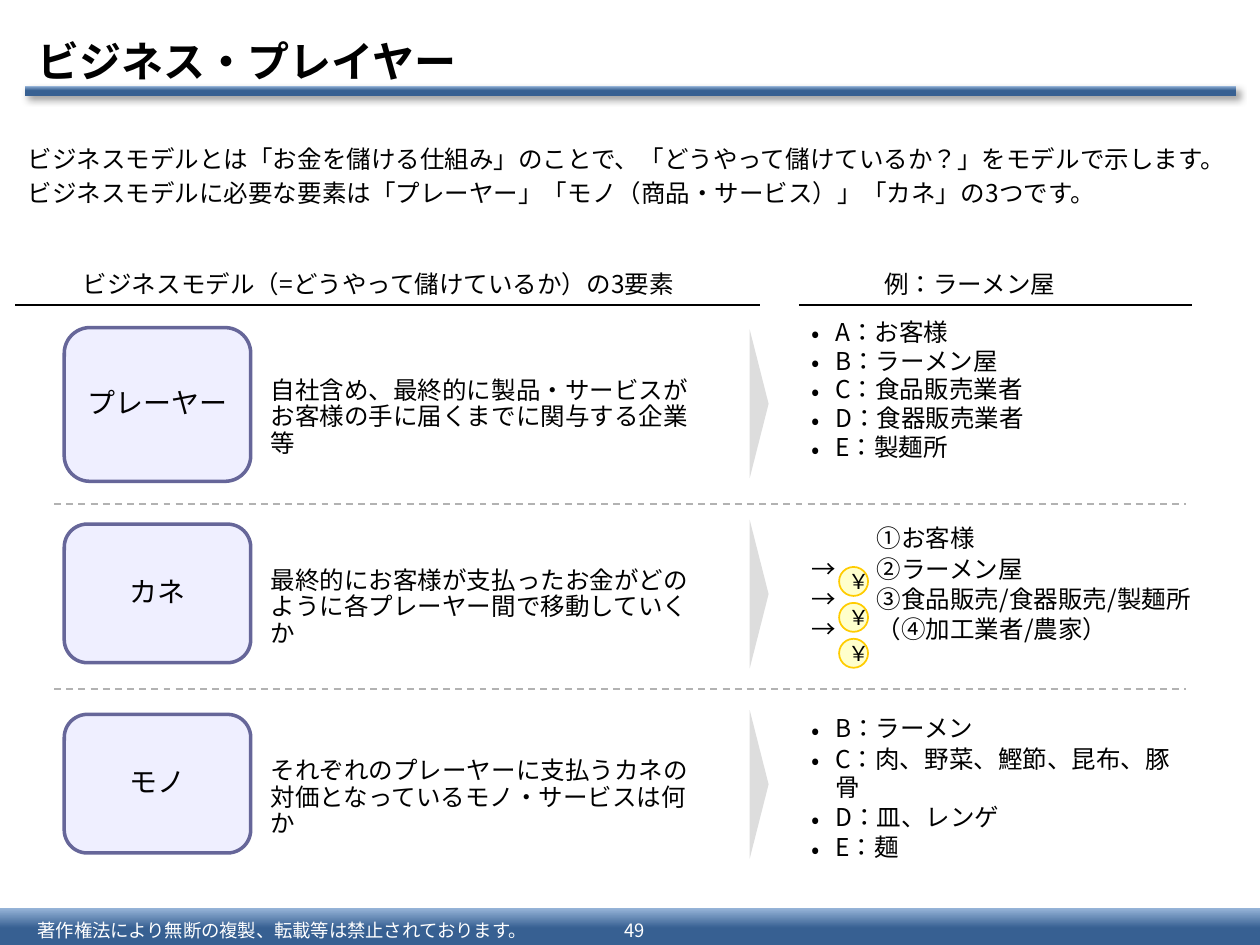
from lxml import etree
from pptx import Presentation, util as u
from pptx.dml.color import RGBColor
from pptx.enum import dml, lang, shapes, text
from pptx.oxml import parse_xml
from pptx.oxml.ns import nsdecls, qn

FONT = "Noto Sans CJK JP"
C = dict(ink="000000", label="010000", white="FFFFFF", navy="376092", sky="95B3D7",
         box="CCCCFF", edge="666699", arrow="DDDDDD", dash="B2B2B2",
         coin="FFFFCC", gold="FFCC00")
W, H = 10, 7.5
ROW_TOP, ROW_H = 2.49, 1.51
# Column left edge and width
COLS = dict(label=(0.51, 1.48), desc=(2.05, 3.67), arrow=(5.95, 0.15), example=(6.34, 3.33))

# Name, description, examples, bulleted, line spacing, label top and height, list top
ROWS = [
    ("プレーヤー", "自社含め、最終的に製品・サービスがお客様の手に届くまでに関与する企業等",
     ["A：お客様", "B：ラーメン屋", "C：食品販売業者", "D：食器販売業者", "E：製麺所"],
     True, 0.9, 0.11, 1.22, 0),
    ("カネ", "最終的にお客様が支払ったお金がどのように各プレーヤー間で移動していくか",
     ["\t①お客様", "→\t②ラーメン屋", "→\t③食品販売/食器販売/製麺所", "→\t（④加工業者/農家）"],
     False, 0.95, 0.16, 1.1, 0.12),
    ("モノ", "それぞれのプレーヤーに支払うカネの対価となっているモノ・サービスは何か",
     ["B：ラーメン", "C：肉、野菜、鰹節、昆布、豚骨", "D：皿、レンゲ", "E：麺"],
     True, 0.95, 0.16, 1.1, 0.12),
]


def rgb(name):
    return RGBColor.from_string(C[name])


def inches(box):
    return [u.Inches(v) for v in box]


def write(tf, lines, size=14, color="ink", bold=False, align=None, spacing=None,
          before=0, after=0, indent=0, bullet=False, anchor=text.MSO_ANCHOR.TOP, wrap=True):
    tf.word_wrap = wrap
    tf.vertical_anchor = anchor
    for i, line in enumerate(lines):
        p = tf.paragraphs[0] if i == 0 else tf.add_paragraph()
        p.text = line
        p.alignment = align
        p.line_spacing = spacing
        p.space_before = u.Pt(before if i else 0)
        p.space_after = u.Pt(after)
        if indent:
            pPr = p._p.get_or_add_pPr()
            pPr.set("marL", str(u.Inches(indent)))
            pPr.set("indent", str(-u.Inches(indent)))
            if bullet:
                etree.SubElement(pPr, qn("a:buFont")).set("typeface", FONT)
                etree.SubElement(pPr, qn("a:buChar")).set("char", "•")
        for r in p.runs:
            r.font.size, r.font.bold, r.font.name = u.Pt(size), bold, FONT
            r.font.language_id = lang.MSO_LANGUAGE_ID.JAPANESE
            r.font.color.rgb = rgb(color)
            etree.SubElement(r._r.get_or_add_rPr(), qn("a:ea")).set("typeface", FONT)


def add_text(s, box, lines, **style):
    tf = s.shapes.add_textbox(*inches(box)).text_frame
    write(tf, lines, **style)
    return tf


def add_shape(s, kind, box, fill=None, line=None, width=1):
    sp = s.shapes.add_shape(kind, *inches(box))
    sp.shadow.inherit = False
    if fill:
        sp.fill.solid()
        sp.fill.fore_color.rgb = rgb(fill)
    if line:
        sp.line.color.rgb = rgb(line)
        sp.line.width = u.Pt(width)
    else:
        sp.line.fill.background()
    return sp


def add_rule(s, x1, x2, y, color="ink", width=0.75, dashed=False):
    ln = s.shapes.add_connector(shapes.MSO_CONNECTOR.STRAIGHT, *inches((x1, y, x2, y)))
    ln.line.color.rgb = rgb(color)
    ln.line.width = u.Pt(width)
    if dashed:
        ln.line.dash_style = dml.MSO_LINE.DASH
    etree.SubElement(ln._element.spPr, qn("a:effectLst"))


def add_band(s, box):
    sp = add_shape(s, shapes.MSO_SHAPE.RECTANGLE, box)
    sp.fill.gradient()
    sp.fill.gradient_angle = 90
    for stop, pos, color in zip(sp.fill.gradient_stops, (0.5, 1), ("navy", "sky")):
        stop.position = pos
        stop.color.rgb = rgb(color)
    return sp


def footer(s, box):
    x, y, w, h = box
    add_band(s, box)
    style = dict(size=10.5, color="white", anchor=text.MSO_ANCHOR.MIDDLE)
    for left, width, words, align in (
            (0.02, 0.425, "著作権法により無断の複製、転載等は禁止されております。", None),
            (0.476, 0.055, "49", text.PP_ALIGN.CENTER)):
        tf = add_text(s, (x + w * left, y + 0.04, w * width, 0.26), [words], align=align, **style)
        tf.margin_top = tf.margin_bottom = u.Inches(0.04)


def header(s, box):
    x, y, w, h = box
    bar = add_band(s, (x, y + h - 0.07, 9.61, 0.08))
    effects = bar._element.spPr.find(qn("a:effectLst"))
    effects.append(parse_xml(
        f'<a:outerShdw {nsdecls("a")} blurRad="{u.Pt(4)}" dist="{u.Pt(3)}" dir="2700000">'
        f'<a:srgbClr val="{C["ink"]}"><a:alpha val="40000"/></a:srgbClr></a:outerShdw>'))
    title = s.shapes.title
    title.left, title.top, title.width, title.height = inches(box)
    write(title.text_frame, ["ビジネス・プレイヤー"], size=24, bold=True,
          align=text.PP_ALIGN.LEFT, anchor=text.MSO_ANCHOR.MIDDLE)


def column_heading(s, box, words, text_left, text_width):
    x, y, w, h = box
    add_text(s, (text_left, y, text_width, h), [words], spacing=0.9)
    add_rule(s, x, x + w, y + h)


def coins(s, box, count=3):
    x, y, d, pitch = box
    for i in range(count):
        sp = add_shape(s, shapes.MSO_SHAPE.OVAL, (x, y + i * pitch, d, d), "coin", "gold")
        tf = sp.text_frame
        tf.margin_left = tf.margin_right = tf.margin_top = tf.margin_bottom = u.Inches(0.04)
        write(tf, ["￥"], size=12, align=text.PP_ALIGN.LEFT,
              anchor=text.MSO_ANCHOR.MIDDLE, wrap=False)


def element_row(s, top, name, desc, examples, bulleted, spacing, label_dy, label_h, list_dy):
    # Label box
    x, w = COLS["label"]
    sp = add_shape(s, shapes.MSO_SHAPE.ROUNDED_RECTANGLE, (x, top + label_dy, w, label_h),
                   "box", "edge", 2)
    color = sp._element.spPr.find(qn("a:solidFill"))[0]
    etree.SubElement(color, qn("a:alpha")).set("val", "30000")
    write(sp.text_frame, [name], size=16, color="label", spacing=0.9,
          align=text.PP_ALIGN.CENTER, anchor=text.MSO_ANCHOR.MIDDLE)
    # Description
    x, w = COLS["desc"]
    add_text(s, (x, top + 0.46, w, 0.74), [desc], spacing=0.9)
    # Arrow, a flat triangle turned to the right about its centre
    x, w = COLS["arrow"]
    length = 1.18
    sp = add_shape(s, shapes.MSO_SHAPE.ISOSCELES_TRIANGLE,
                   (x + (w - length) / 2, top + 0.64, length, w), "arrow")
    sp.rotation = 90
    # Examples
    x, w = COLS["example"]
    w = 3.19 if bulleted else w
    add_text(s, (x, top + list_dy, w, 1.26), examples, spacing=spacing, after=1.4,
             indent=0.19 if bulleted else 0.52, bullet=bulleted)


def main():
    prs = Presentation()
    prs.slide_width, prs.slide_height = inches((W, H))
    s = prs.slides.add_slide(prs.slide_layouts[5])
    footer(s, (0, 7.21, W, 0.31))
    header(s, (0.2, 0.21, 9.8, 0.54))
    # Introduction
    add_text(s, (0.12, 1.09, 9.88, 0.69), [
        "ビジネスモデルとは「お金を儲ける仕組み」のことで、「どうやって儲けているか？」をモデルで示します。",
        "ビジネスモデルに必要な要素は「プレーヤー」「モノ（商品・サービス）」「カネ」の3つです。",
    ], before=2.8)
    # Column headings
    column_heading(s, (0.12, 2.11, 5.91, 0.31),
                   "ビジネスモデル（=どうやって儲けているか）の3要素", 0.56, 5.14)
    column_heading(s, (6.34, 2.11, 3.12, 0.31), "例：ラーメン屋", 6.92, 1.96)
    # Rows of the three elements
    coins(s, (6.66, 4.5, 0.23, 0.285))
    for i, row in enumerate(ROWS):
        element_row(s, ROW_TOP + i * ROW_H, *row)
    for y in (4, 5.47):
        add_rule(s, 0.43, 9.41, y, "dash", 1, dashed=True)
    prs.save("out.pptx")


if __name__ == "__main__":
    main()
